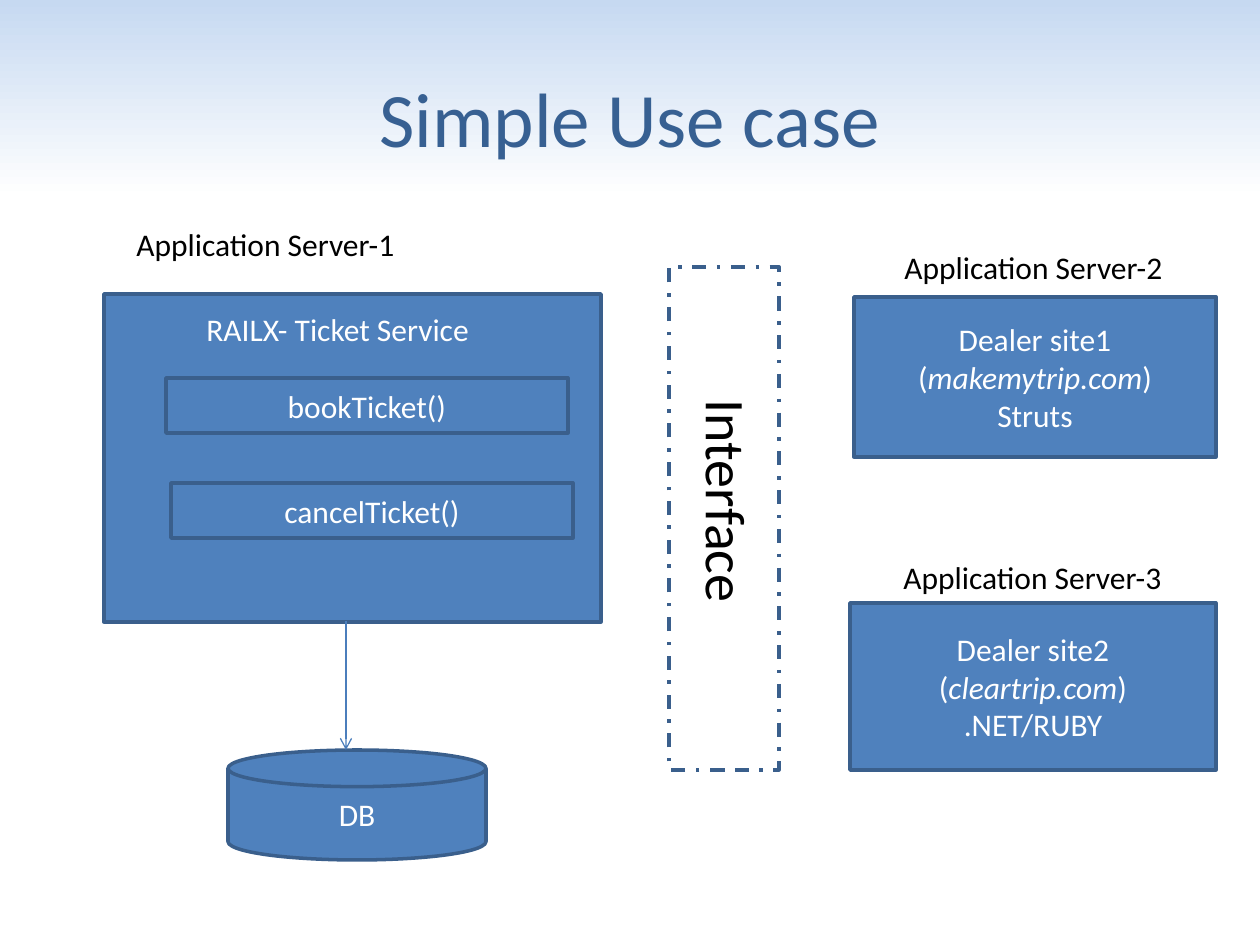
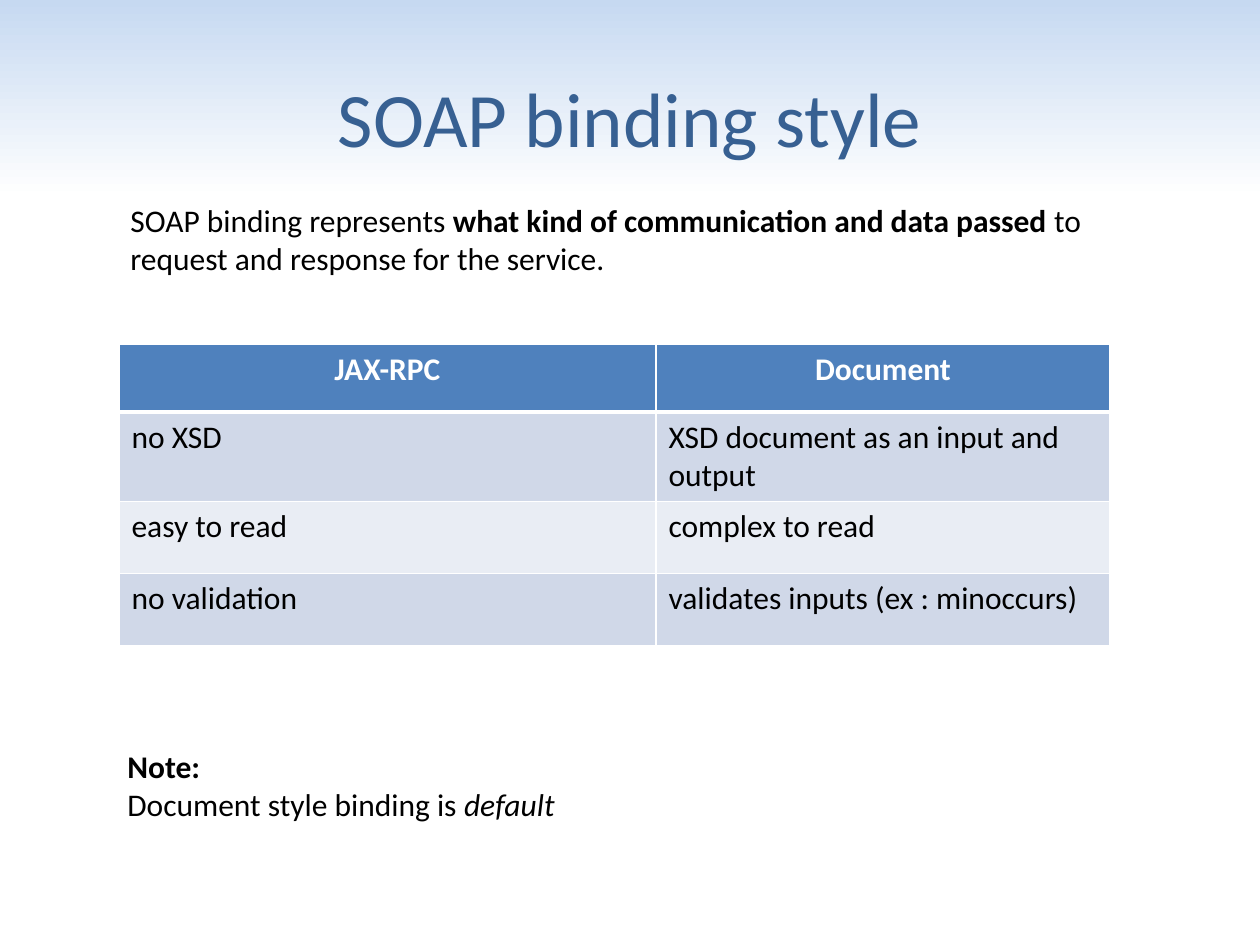
"""Build two slides: a ticket service use case and SOAP binding styles."""
from copy import deepcopy

from lxml.etree import SubElement
from pptx import Presentation
from pptx.dml.color import RGBColor
from pptx.enum.dml import MSO_LINE
from pptx.enum.shapes import MSO_CONNECTOR, MSO_SHAPE
from pptx.enum.text import MSO_ANCHOR, MSO_AUTO_SIZE, PP_ALIGN
from pptx.oxml.ns import qn
from pptx.util import Inches, Pt

PX = Inches(1) / 126
FONT = "Calibri"
BODY_SIZE = 18
WHITE = RGBColor(0xFF, 0xFF, 0xFF)
BLACK = RGBColor(0, 0, 0)
SKY = RGBColor(0xC6, 0xD9, 0xF1)
TITLE_BLUE = RGBColor(0x37, 0x60, 0x92)
BLUE = RGBColor(0x4F, 0x81, 0xBD)
OUTLINE = RGBColor(0x3A, 0x5F, 0x8C)
ARROW_BLUE = RGBColor(0x4B, 0x7E, 0xBC)
BAND_DARK = RGBColor(0xD0, 0xD8, 0xE8)
BAND_LIGHT = RGBColor(0xE9, 0xED, 0xF4)

TITLE_BOX = (63, 38, 1134, 158)
BOX, DISK = MSO_SHAPE.RECTANGLE, MSO_SHAPE.FLOWCHART_MAGNETIC_DISK

# Each text is a list of paragraphs; each paragraph is a list of (text, style) runs.
USE_CASE_SHAPES = [
    (BOX, (104, 294, 497, 328), []),
    (BOX, (166, 378, 402, 55), [[("bookTicket()", "")]]),
    (BOX, (171, 483, 402, 55), [[("cancelTicket()", "")]]),
    (DISK, (228, 750, 258, 110), [[("DB", "")]]),
    (BOX, (854, 297, 362, 160), [
        [("Dealer site1 (", ""), ("makemytrip.com", "i"), (")", "")],
        [("Struts", "")]]),
    (BOX, (850, 603, 366, 167), [
        [("Dealer site2 (", ""), ("cleartrip.com", "i"), (")", "")],
        [(".NET/RUBY", "")]]),
]
USE_CASE_LABELS = [
    ((124, 219, 446, 50), "Application Server-1", BLACK),
    ((194, 304, 348, 50), "RAILX- Ticket Service", WHITE),
    ((892, 242, 294, 50), "Application Server-2", BLACK),
    ((891, 552, 295, 50), "Application Server-3", BLACK),
]
DATABASE_ARROW = (346, 621, 346, 750)
INTERFACE_FRAME = (669, 267, 110, 503)
INTERFACE_LABEL = (612, 462, 231, 81)

BINDING_TEXTS = [
    ((118, 195, 1060, 89), [
        [("SOAP binding represents ", ""),
         ("what kind of communication and data passed ", "b"),
         ("to request and response for the service.", "")]]),
    ((115, 741, 764, 89), [
        [("Note:", "b")],
        [("Document style binding is ", ""), ("default", "i")]]),
]
BINDING_ROWS = [
    ("JAX-RPC", "Document"),
    ("no XSD", "XSD document as an input and output"),
    ("easy to read", "complex to read"),
    ("no validation", "validates inputs (ex : minoccurs)"),
]
TABLE_ORIGIN = (119, 344)
COLUMN_WIDTHS = (537, 454)
ROW_HEIGHTS = (68, 72, 72, 72)


def emu(lengths):
    """Turn px lengths into EMU."""
    return [round(length * PX) for length in lengths]


def write(text_frame, paragraphs, color, align=PP_ALIGN.LEFT, size=BODY_SIZE):
    """Fill a text frame with paragraphs of styled runs."""
    for index, runs in enumerate(paragraphs):
        paragraph = text_frame.add_paragraph() if index else text_frame.paragraphs[0]
        paragraph.alignment = align
        for text, style in runs:
            run = paragraph.add_run()
            run.text = text
            font = run.font
            font.name, font.size = FONT, Pt(size)
            font.bold, font.italic = style == "b", style == "i"
            font.color.rgb = color


def add_text(slide, box, paragraphs, color=BLACK, size=BODY_SIZE, wrap=True):
    """Add a text box that grows with its text."""
    text_box = slide.shapes.add_textbox(*emu(box))
    text_frame = text_box.text_frame
    text_frame.word_wrap = wrap
    text_frame.auto_size = MSO_AUTO_SIZE.SHAPE_TO_FIT_TEXT
    write(text_frame, paragraphs, color, size=size)
    return text_box


def add_outlined(slide, kind, box):
    """Add an unfilled shape with the common outline."""
    shape = slide.shapes.add_shape(kind, *emu(box))
    shape.shadow.inherit = False
    shape.fill.background()
    shape.line.color.rgb = OUTLINE
    shape.line.width = Pt(2)
    return shape


def add_arrow(slide, ends):
    """Add a thin connector with an open arrowhead at its end."""
    arrow = slide.shapes.add_connector(MSO_CONNECTOR.STRAIGHT, *emu(ends))
    arrow.line.color.rgb = ARROW_BLUE
    arrow.line.width = Pt(0.75)
    SubElement(arrow.line._get_or_add_ln(), qn("a:tailEnd"), type="arrow")
    SubElement(arrow._element.spPr, qn("a:effectLst"))


def set_borders(cell, bottom):
    """Draw white cell borders, with the bottom one in its own width."""
    properties = cell._tc.get_or_add_tcPr()
    for side, width in (("L", 1), ("R", 1), ("T", 1), ("B", bottom)):
        line = SubElement(properties, qn(f"a:ln{side}"), w=str(Pt(width)))
        fill = SubElement(line, qn("a:solidFill"))
        SubElement(fill, qn("a:srgbClr"), val=str(WHITE))


def add_binding_table(slide):
    """Add the table comparing the binding styles."""
    size = (sum(COLUMN_WIDTHS), sum(ROW_HEIGHTS))
    table = slide.shapes.add_table(
        len(BINDING_ROWS), len(COLUMN_WIDTHS), *emu(TABLE_ORIGIN + size)).table
    for column, width in zip(table.columns, emu(COLUMN_WIDTHS)):
        column.width = width
    for row, height in zip(table.rows, emu(ROW_HEIGHTS)):
        row.height = height
    for row_index, texts in enumerate(BINDING_ROWS):
        header = row_index == 0
        band = BLUE if header else (BAND_LIGHT, BAND_DARK)[row_index % 2]
        for column_index, text in enumerate(texts):
            cell = table.cell(row_index, column_index)
            set_borders(cell, bottom=3 if header or False else 1)
            cell.fill.solid()
            cell.fill.fore_color.rgb = band
            write(cell.text_frame, [[(text, "b" if header else "")]],
                  WHITE if header else BLACK,
                  PP_ALIGN.CENTER if header else PP_ALIGN.LEFT)


def set_background(master):
    """Fade the master background from sky blue to white."""
    fill = master.background.fill
    fill.gradient()
    fill.gradient_angle = 270
    for stop, color, position in zip(fill.gradient_stops, (SKY, WHITE), (0, 0.21)):
        stop.color.rgb = color
        stop.position = position
    stop_list = next(master.background._cSld.iter(qn("a:gsLst")))
    last = deepcopy(stop_list[-1])
    last.set("pos", "100000")
    stop_list.append(last)


def add_slide(presentation, title):
    """Add a title-only slide with the shared title style."""
    slide = presentation.slides.add_slide(presentation.slide_layouts[5])
    shape = slide.shapes.title
    shape.left, shape.top, shape.width, shape.height = emu(TITLE_BOX)
    shape.text_frame.vertical_anchor = MSO_ANCHOR.MIDDLE
    write(shape.text_frame, [[(title, "")]], TITLE_BLUE, PP_ALIGN.CENTER, 44)
    return slide


def build_use_case(presentation):
    """Build the diagram of servers, interface and database."""
    slide = add_slide(presentation, "Simple Use case")
    for kind, box, paragraphs in USE_CASE_SHAPES:
        shape = add_outlined(slide, kind, box)
        shape.fill.solid()
        shape.fill.fore_color.rgb = BLUE
        shape.text_frame.vertical_anchor = MSO_ANCHOR.MIDDLE
        write(shape.text_frame, paragraphs, WHITE, PP_ALIGN.CENTER)
    for box, text, color in USE_CASE_LABELS:
        add_text(slide, box, [[(text, "")]], color)
    add_arrow(slide, DATABASE_ARROW)
    frame = add_outlined(slide, BOX, INTERFACE_FRAME)
    frame.line.dash_style = MSO_LINE.DASH_DOT
    label = add_text(slide, INTERFACE_LABEL, [[("Interface", "")]], size=32, wrap=False)
    label.rotation = 90


def build_binding(presentation):
    """Build the comparison of SOAP binding styles."""
    slide = add_slide(presentation, "SOAP binding style")
    add_binding_table(slide)
    for box, paragraphs in BINDING_TEXTS:
        add_text(slide, box, paragraphs)


def main():
    """Build and save the presentation."""
    presentation = Presentation()
    presentation.slide_width, presentation.slide_height = emu((1260, 945))
    set_background(presentation.slide_master)
    build_use_case(presentation)
    build_binding(presentation)
    presentation.save("out.pptx")


if __name__ == "__main__":
    main()
